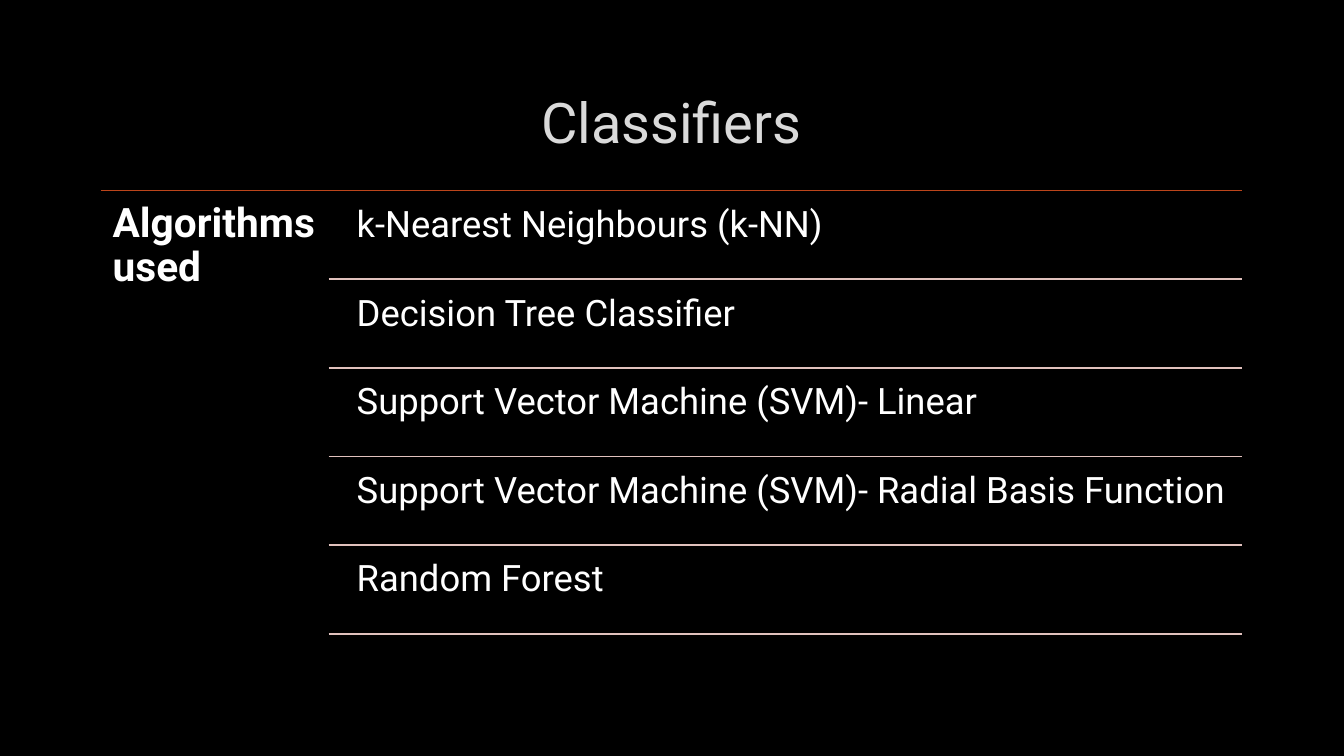
import pptx
import pptx.dml.color
import pptx.enum.shapes
import pptx.enum.text
import pptx.oxml
import pptx.util
from pptx.util import Cm

FONT = "Roboto"
ALGORITHMS = [
    "k-Nearest Neighbours (k-NN)",
    "Decision Tree Classifier",
    "Support Vector Machine (SVM)- Linear",
    "Support Vector Machine (SVM)- Radial Basis Function",
    "Random Forest",
]


def colour(hex_value):
    return pptx.dml.color.RGBColor.from_string(hex_value)


def add_run(paragraph, text, size, hex_value, bold=False):
    run = paragraph.add_run()
    run.text = text
    run.font.name = FONT
    run.font.size = pptx.util.Pt(size)
    run.font.bold = bold
    run.font.color.rgb = colour(hex_value)


def add_label(slide, text, left, top, width, height, inset, size, bold=False):
    label = slide.shapes.add_textbox(left, top, width, height)
    frame = label.text_frame
    frame.word_wrap = True
    frame.margin_left = frame.margin_right = inset
    frame.margin_top = frame.margin_bottom = inset
    paragraph = frame.paragraphs[0]
    paragraph.line_spacing = 0.9
    add_run(paragraph, text, size, "FFFFFF", bold)


def add_rule(slide, left, right, y, hex_value):
    rule = slide.shapes.add_connector(
        pptx.enum.shapes.MSO_CONNECTOR.STRAIGHT, left, y, right, y)
    rule.line.color.rgb = colour(hex_value)
    rule.line.width = pptx.util.Pt(1.25)
    properties = rule._element.spPr
    properties.append(pptx.oxml.parse_xml(
        '<a:effectLst xmlns:a="http://schemas.openxmlformats.org/drawingml/2006/main"/>'))


def place_title(slide, text, left, top, width, height):
    title = slide.shapes.title
    title.left, title.top, title.width, title.height = left, top, width, height
    frame = title.text_frame
    frame.word_wrap = True
    frame.vertical_anchor = pptx.enum.text.MSO_ANCHOR.MIDDLE
    paragraph = frame.paragraphs[0]
    paragraph.alignment = pptx.enum.text.PP_ALIGN.CENTER
    add_run(paragraph, text, 40, "DADADA")


def add_ruled_list(slide, heading, items, left, top, width, height):
    """Place a heading beside equal rows, each closed by a rule."""
    right = left + width
    heading_width = Cm(5.74)
    rows_left = left + heading_width
    text_left = rows_left + Cm(0.43)
    gap = Cm(0.11)
    pitch = (height - gap) / len(items)

    add_rule(slide, left, right, top, "BC451B")
    add_label(slide, heading, left, top, heading_width, height, Cm(0.3), 29, True)
    for index, item in enumerate(items):
        row_top = top + gap + round(index * pitch)
        row_bottom = top + gap + round((index + 1) * pitch)
        add_label(slide, item, text_left, row_top, right - text_left,
                  Cm(2.13), Cm(0.28), 26)
        add_rule(slide, rows_left, right, row_bottom - Cm(0.11), "E1C1BD")


def main():
    deck = pptx.Presentation()
    deck.slide_width, deck.slide_height = Cm(33.87), Cm(19.05)
    slide = deck.slides.add_slide(deck.slide_layouts[5])
    background = slide.background.fill
    background.solid()
    background.fore_color.rgb = colour("000000")

    left, width = Cm(2.54), Cm(28.75)
    place_title(slide, "Classifiers", left, Cm(1.7), width, Cm(2.69))
    add_ruled_list(slide, "Algorithms used", ALGORITHMS,
                   left, Cm(4.8), width, Cm(11.28))
    deck.save("out.pptx")


if __name__ == "__main__":
    main()
